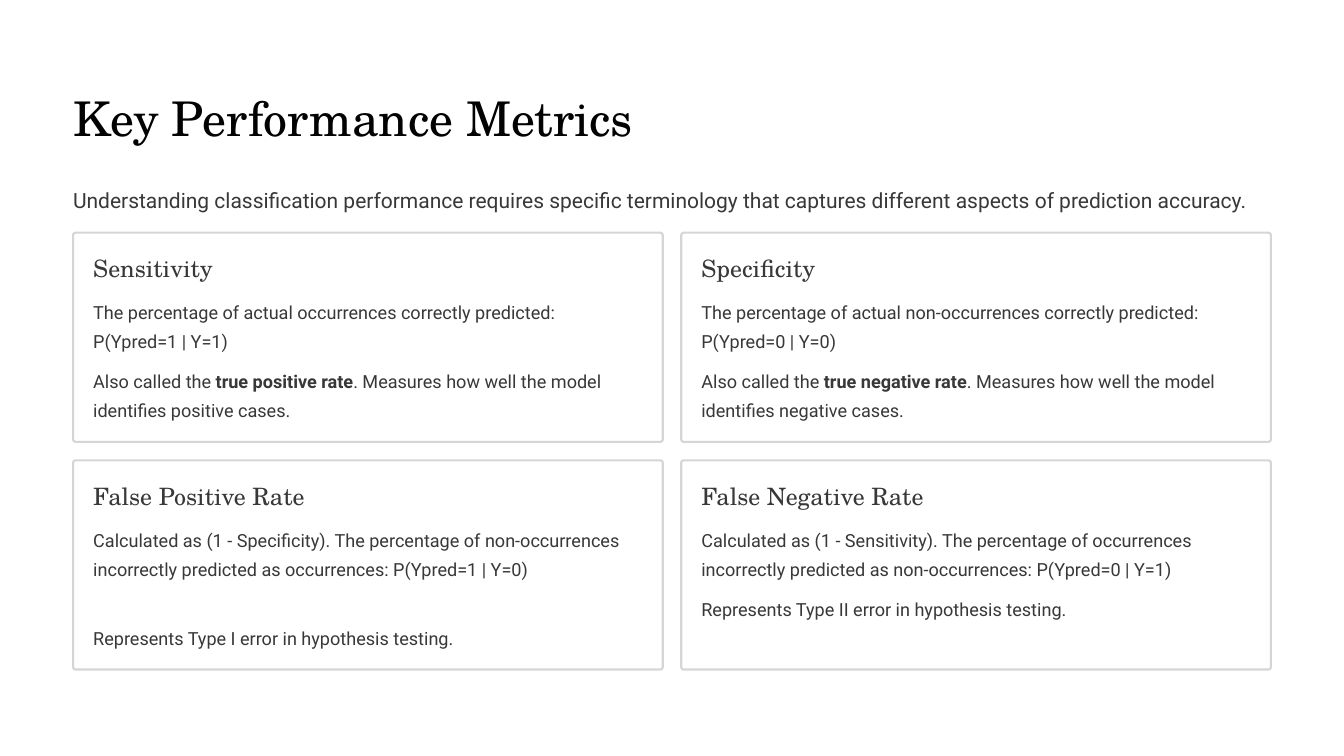
"""Build the Key Performance Metrics slide with a two-by-two grid of cards."""
from pptx import Presentation
from pptx.dml.color import RGBColor
from pptx.enum import shapes, text
from pptx.util import Inches, Pt

COLORS = {"paper": "FFFFFF", "title": "020202", "body": "383838", "border": "D8D4D4"}
SERIF, SANS = "TeX Gyre Schola", "Roboto"
STYLES = {
    "title": ({"name": SERIF, "size": Pt(41)}, "title", 51),
    "intro": ({"name": SANS, "size": Pt(18)}, "body", 25),
    "heading": ({"name": SERIF, "size": Pt(20.5)}, "body", 25.5),
    "body": ({"name": SANS, "size": Pt(15.5)}, "body", 25),
}
FRAME = {"margin_left": 0, "margin_top": 0, "margin_right": 0, "margin_bottom": 0,
         "word_wrap": True, "vertical_anchor": text.MSO_ANCHOR.TOP}
TITLE = "Key Performance Metrics"
INTRO = ("Understanding classification performance requires specific terminology "
         "that captures different aspects of prediction accuracy.")
CARDS = [
    ("Sensitivity", [
        (2, ["The percentage of actual occurrences correctly predicted: P(Ypred=1 | Y=1)"]),
        (2, ["Also called the ", "true positive rate",
             ". Measures how well the model identifies positive cases."])]),
    ("Specificity", [
        (2, ["The percentage of actual non-occurrences correctly predicted: P(Ypred=0 | Y=0)"]),
        (2, ["Also called the ", "true negative rate",
             ". Measures how well the model identifies negative cases."])]),
    ("False Positive Rate", [
        (3, ["Calculated as (1 - Specificity). The percentage of non-occurrences "
             "incorrectly predicted as occurrences: P(Ypred=1 | Y=0)"]),
        (1, ["Represents Type I error in hypothesis testing."])]),
    ("False Negative Rate", [
        (2, ["Calculated as (1 - Sensitivity). The percentage of occurrences "
             "incorrectly predicted as non-occurrences: P(Ypred=0 | Y=1)"]),
        (1, ["Represents Type II error in hypothesis testing."])]),
]
LEFT, TOP, CARD_W, CARD_H, GAP, RADIUS = 0.87, 2.77, 7.02, 2.49, 0.22, 0.03
PAD, BODY_DROP, LINE_H, PARA_GAP = 0.24, 0.73, 0.35, 0.12
FULL_W, TEXT_W = 2 * CARD_W + GAP, CARD_W - 2 * PAD


def rgb(name):
    return RGBColor.from_string(COLORS[name])


def add_text(s, box, runs, style):
    font, color, leading = STYLES[style]
    tf = s.shapes.add_textbox(*map(Inches, box)).text_frame
    for key, value in FRAME.items():
        setattr(tf, key, value)
    p = tf.paragraphs[0]
    p.line_spacing = Pt(leading)
    for i, words in enumerate(runs):
        r = p.add_run()
        r.text = words
        for key, value in {**font, "bold": i % 2 == 1}.items():
            setattr(r.font, key, value)
        r.font.color.rgb = rgb(color)


def add_card(s, x, y, heading, paragraphs):
    sp = s.shapes.add_shape(shapes.MSO_SHAPE.ROUNDED_RECTANGLE,
                            *map(Inches, (x, y, CARD_W, CARD_H)))
    sp.adjustments[0] = RADIUS / CARD_H
    sp.shadow.inherit = False
    sp.fill.solid()
    sp.fill.fore_color.rgb = rgb("paper")
    sp.line.color.rgb = rgb("border")
    sp.line.width = Pt(1.8)
    add_text(s, (x + PAD, y + PAD, TEXT_W, 0.36), [heading], "heading")
    top = y + BODY_DROP
    for lines, runs in paragraphs:
        height = lines * LINE_H
        add_text(s, (x + PAD, top, TEXT_W, height), runs, "body")
        top += height + PARA_GAP


def main():
    prs = Presentation()
    prs.slide_width, prs.slide_height = Inches(16), Inches(9)
    s = prs.slides.add_slide(prs.slide_layouts[6])
    s.background.fill.solid()
    s.background.fill.fore_color.rgb = rgb("paper")
    add_text(s, (LEFT, 1.03, FULL_W, 0.71), [TITLE], "title")
    add_text(s, (LEFT, 2.18, FULL_W, 0.35), [INTRO], "intro")
    for i, (heading, paragraphs) in enumerate(CARDS):
        row, col = divmod(i, 2)
        add_card(s, LEFT + col * (CARD_W + GAP), TOP + row * (CARD_H + GAP),
                 heading, paragraphs)
    prs.save("out.pptx")


if __name__ == "__main__":
    main()
